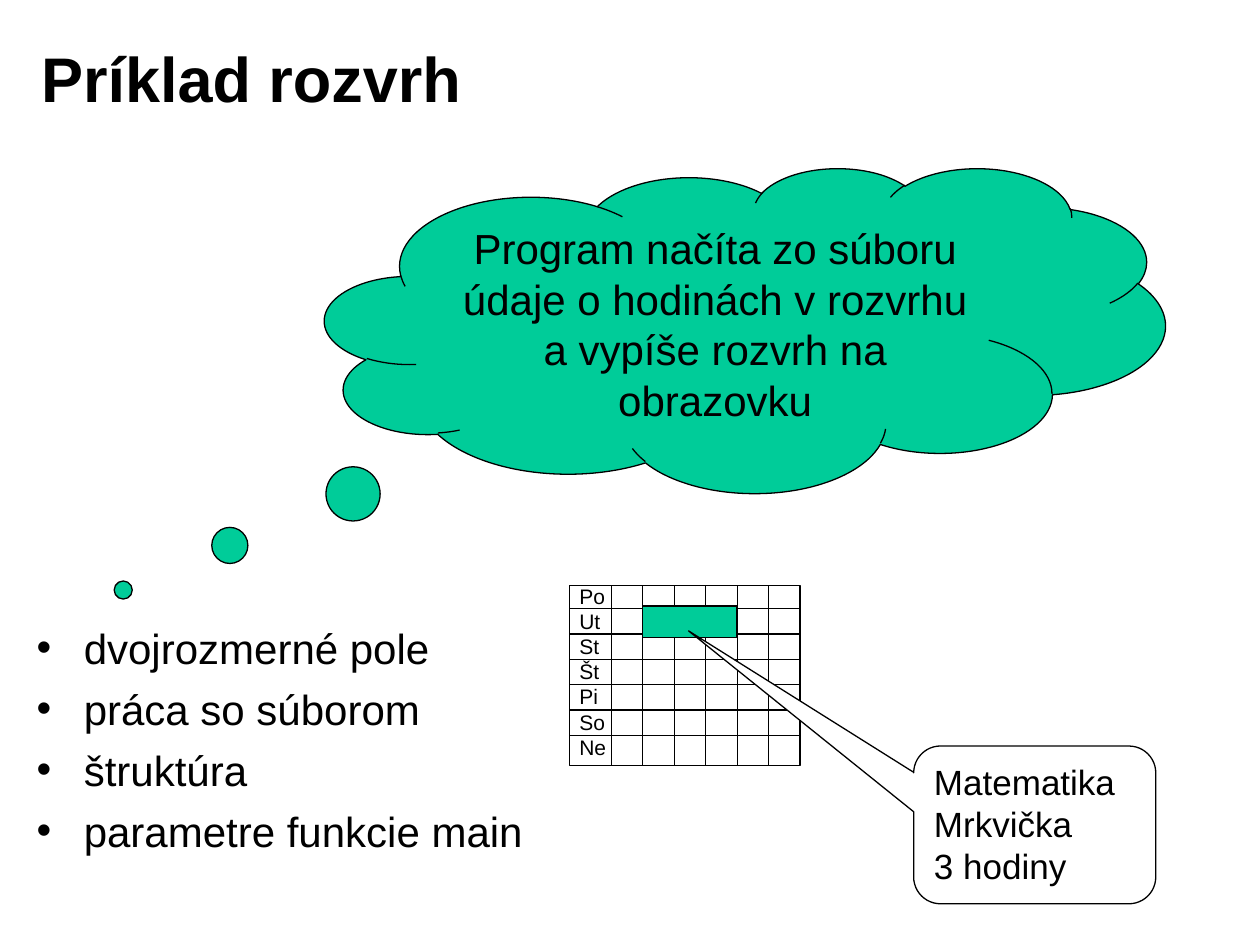
from lxml import etree
from pptx import Presentation
from pptx import util as u
from pptx.dml.color import RGBColor
from pptx.enum import shapes, text
from pptx.oxml import ns

# Content
TITLE = ["Príklad rozvrh"]
TOPICS = ["dvojrozmerné pole", "práca so súborom", "štruktúra",
          "parametre funkcie main"]
THOUGHT = ["Program načíta zo súboru údaje o hodinách v rozvrhu "
           "a vypíše rozvrh na obrazovku"]
DAYS = ["Po", "Ut", "St", "Št", "Pi", "So", "Ne"]
LESSON = ["Matematika", "Mrkvička", "3 hodiny"]
HOUR_COLUMNS = 6

THEME = {
    "font": "Arial", "ink": "000000", "accent": "00CC99", "paper": "FFFFFF",
    "title": 36, "body": 24, "lesson": 20, "days": 12,
    "line": 0.75, "gap": 6,
}


def color(name):
    return RGBColor.from_string(THEME[name])


def add_bullet(paragraph):
    """Hang the paragraph behind a round bullet."""
    props = paragraph._p.get_or_add_pPr()
    props.set("marL", str(u.Cm(0.95)))
    props.set("indent", str(-u.Cm(0.95)))
    bullet_color = etree.SubElement(props, ns.qn("a:buClr"))
    etree.SubElement(bullet_color, ns.qn("a:srgbClr"), val=THEME["ink"])
    etree.SubElement(props, ns.qn("a:buFont"), typeface=THEME["font"])
    etree.SubElement(props, ns.qn("a:buChar"), char="•")


def write(shape, lines, size, bold=False, align=text.PP_ALIGN.LEFT,
          anchor=text.MSO_ANCHOR.TOP, bullets=False, gap=0):
    frame = shape.text_frame
    frame.word_wrap = True
    frame.vertical_anchor = anchor
    for i, line in enumerate(lines):
        paragraph = frame.add_paragraph() if i else frame.paragraphs[0]
        paragraph.alignment = align
        paragraph.space_before = u.Pt(gap if i else 0)
        if bullets:
            add_bullet(paragraph)
        run = paragraph.add_run()
        run.text = line
        run.font.name = THEME["font"]
        run.font.size = u.Pt(THEME[size])
        run.font.bold = bold
        run.font.color.rgb = color("ink")


def add_textbox(parent, box):
    return parent.add_textbox(*map(u.Cm, box))


def add_outlined(parent, kind, box, fill=None, adjustments=()):
    shape = parent.add_shape(kind, *map(u.Cm, box))
    shape.shadow.inherit = False
    if fill:
        shape.fill.solid()
        shape.fill.fore_color.rgb = color(fill)
    else:
        shape.fill.background()
    shape.line.color.rgb = color("ink")
    shape.line.width = u.Pt(THEME["line"])
    for i, value in enumerate(adjustments):
        shape.adjustments[i] = value
    return shape


def add_rule(parent, x1, y1, x2, y2):
    rule = parent.add_connector(shapes.MSO_CONNECTOR.STRAIGHT,
                                *map(u.Cm, (x1, y1, x2, y2)))
    rule.line.color.rgb = color("ink")
    rule.line.width = u.Pt(THEME["line"])
    etree.SubElement(rule._element.spPr, ns.qn("a:effectLst"))


def add_timetable(parent):
    left, top, width, height = 11.48, 11.81, 4.65, 3.63
    right, bottom = left + width, top + height
    first_row, row_step = 12.27, 0.51
    first_column = 12.32
    column_step = (right - first_column) / HOUR_COLUMNS
    add_outlined(parent, shapes.MSO_SHAPE.RECTANGLE,
                 (left, top, width, height))
    for row in range(len(DAYS) - 1):
        y = first_row + row * row_step
        add_rule(parent, left, y, right, y)
    for column in range(HOUR_COLUMNS):
        x = first_column + column * column_step
        add_rule(parent, x, top, x, bottom)
    days = add_textbox(parent, (11.43, 11.63, 1.1, 3.81))
    write(days, DAYS, "days")
    # Three hours of Tuesday, from the second hour on
    return first_column + column_step, 12.22, 3 * column_step, 0.64


def main():
    deck = Presentation()
    deck.slide_width, deck.slide_height = u.Cm(25.4), u.Cm(19.05)
    slide = deck.slides.add_slide(deck.slide_layouts[6])
    slide.background.fill.solid()
    slide.background.fill.fore_color.rgb = color("paper")
    parts = slide.shapes

    # Title and topics
    heading = add_textbox(parts, (0.58, 0.38, 20.4, 2.36))
    write(heading, TITLE, "title", bold=True, anchor=text.MSO_ANCHOR.MIDDLE)
    topics = add_textbox(parts, (0.49, 12.42, 24.41, 5.36))
    write(topics, TOPICS, "body", bullets=True, gap=THEME["gap"])

    # Thought cloud
    cloud = add_outlined(parts, shapes.MSO_SHAPE.CLOUD_CALLOUT,
                         (6.55, 3.38, 16.94, 6.55), "accent", (-0.74, 0.8))
    write(cloud, THOUGHT, "body", align=text.PP_ALIGN.CENTER)

    # Timetable
    lesson_box = add_timetable(parts.add_group_shape().shapes)

    # Lesson and its description
    lesson = parts.add_group_shape().shapes
    add_outlined(lesson, shapes.MSO_SHAPE.RECTANGLE, lesson_box, "accent")
    details = add_outlined(lesson, shapes.MSO_SHAPE.ROUNDED_RECTANGULAR_CALLOUT,
                           (18.42, 15.04, 4.88, 3.18), "paper",
                           (-1.43, -1.23, 0.17))
    write(details, LESSON, "lesson")

    deck.save("out.pptx")


if __name__ == "__main__":
    main()
